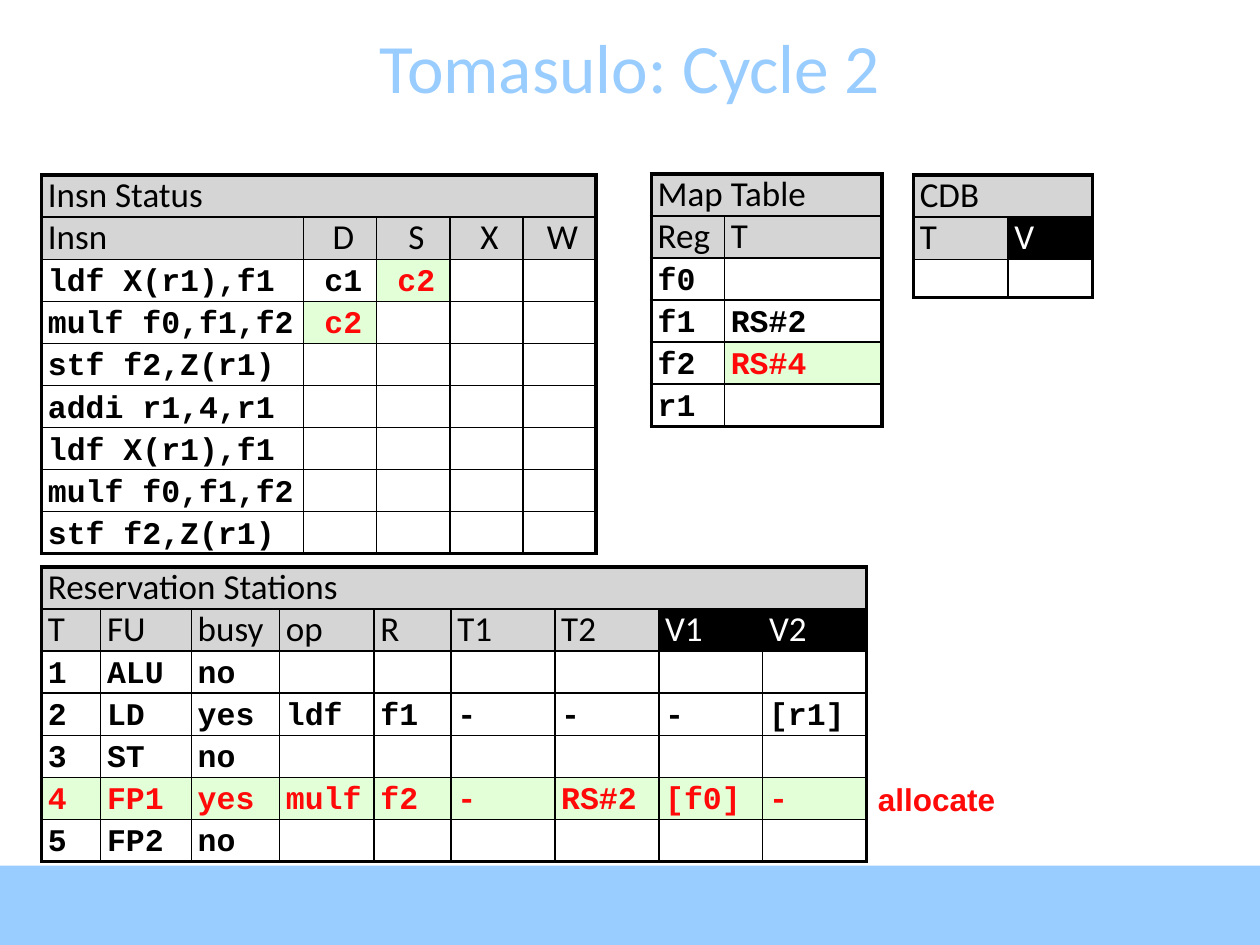
import pptx
import pptx.util
import pptx.dml.color
import pptx.enum.shapes
import pptx.enum.text
import pptx.oxml
import pptx.oxml.ns

Inches, Pt = pptx.util.Inches, pptx.util.Pt
RGBColor = pptx.dml.color.RGBColor
ALIGN = pptx.enum.text.PP_ALIGN
ANCHOR = pptx.enum.text.MSO_ANCHOR

SKY = RGBColor(0x99, 0xCC, 0xFF)
BLACK = RGBColor(0, 0, 0)
WHITE = RGBColor(255, 255, 255)
GRAY = RGBColor(0xD5, 0xD5, 0xD5)
RED = RGBColor(0xFF, 0x09, 0x09)
MINT = RGBColor(0xE2, 0xFF, 0xD8)


def set_font(span, **values):
    color = values.pop("color")
    for name, value in values.items():
        setattr(span.font, name, value)
    span.font.color.rgb = color


def add_border(cell, side, width):
    line = pptx.oxml.parse_xml(
        f'<a:ln{side} {pptx.oxml.ns.nsdecls("a")} w="{Pt(width)}">'
        f'<a:solidFill><a:srgbClr val="{BLACK}"/></a:solidFill></a:ln{side}>')
    cell._tc.get_or_add_tcPr().append(line)


deck = pptx.Presentation()
deck.slide_width, deck.slide_height = Inches(10), Inches(7.5)
page = deck.slides.add_slide(deck.slide_layouts[5])

# Bottom bar
bar = page.shapes.add_shape(pptx.enum.shapes.MSO_SHAPE.RECTANGLE,
                            Inches(0), Inches(6.87), Inches(10), Inches(0.63))
bar.shadow.inherit = False
bar.fill.solid()
bar.fill.fore_color.rgb = SKY
bar.line.fill.background()

# Title
title = page.shapes.title
title.left, title.top, title.width, title.height = (
    Inches(0), Inches(0.21), Inches(10), Inches(0.63))
title.text_frame.text = "Tomasulo: Cycle 2"
title.text_frame.vertical_anchor = ANCHOR.MIDDLE
para = title.text_frame.paragraphs[0]
para.alignment = ALIGN.CENTER
set_font(para.runs[0], name="Calibri", size=Pt(39.6), color=SKY)

# Tables: "fresh" cells changed in this cycle, "dark" header cells hold values
TABLES = [
    {"at": (0.33, 1.39), "columns": [2.08] + [0.58] * 4, "centered": range(1, 5),
     "fresh": [(2, 2), (3, 1)], "dark": [],
     "rows": [["Insn Status"],
              ["Insn", "D", "S", "X", "W"],
              ["ldf X(r1),f1", "c1", "c2"],
              ["mulf f0,f1,f2", "c2"],
              ["stf f2,Z(r1)"],
              ["addi r1,4,r1"],
              ["ldf X(r1),f1"],
              ["mulf f0,f1,f2"],
              ["stf f2,Z(r1)"]]},
    {"at": (5.17, 1.38), "columns": [0.58, 1.25], "centered": [],
     "fresh": [(4, 1)], "dark": [],
     "rows": [["Map Table"], ["Reg", "T"], ["f0"], ["f1", "RS#2"],
              ["f2", "RS#4"], ["r1"]]},
    {"at": (0.33, 4.5), "columns": [0.47, 0.72, 0.7, 0.75, 0.61] + [0.825] * 4,
     "centered": [], "fresh": [(5, c) for c in range(9)], "dark": [7, 8],
     "rows": [["Reservation Stations"],
              ["T", "FU", "busy", "op", "R", "T1", "T2", "V1", "V2"],
              ["1", "ALU", "no"],
              ["2", "LD", "yes", "ldf", "f1", "-", "-", "-", "[r1]"],
              ["3", "ST", "no"],
              ["4", "FP1", "yes", "mulf", "f2", "-", "RS#2", "[f0]", "-"],
              ["5", "FP2", "no"]]},
    {"at": (7.25, 1.39), "columns": [0.75, 0.67], "centered": [],
     "fresh": [], "dark": [1],
     "rows": [["CDB"], ["T", "V"], []]},
]
CELL = {"margin_left": Inches(0.05), "margin_right": 0,
        "margin_top": 0, "margin_bottom": 0}

for plan in TABLES:
    rows, columns = plan["rows"], plan["columns"]
    last_row, last_column = len(rows) - 1, len(columns) - 1
    left, top = plan["at"]
    grid = page.shapes.add_table(
        len(rows), len(columns), Inches(left), Inches(top),
        Inches(sum(columns)), Inches(0.27 * len(rows))).table
    grid.first_row = grid.horz_banding = False
    for column, width in zip(grid.columns, columns):
        column.width = Inches(width)
    for r, texts in enumerate(rows):
        grid.rows[r].height = Inches(0.33 if texts else 0.27)
        for c in range(len(columns)):
            cell = grid.cell(r, c)
            for name, value in CELL.items():
                setattr(cell, name, value)

            # Thick outline, thin inner lines
            edges = {"L": c == 0 or r == 0, "R": c == last_column or r == 0,
                     "T": r == 0, "B": r == last_row}
            for side, outer in edges.items():
                add_border(cell, side, 2.25 if outer else 1)

            # Fill and font by role
            header = r < 2
            fresh = (r, c) in plan["fresh"]
            dark = r == 1 and c in plan["dark"]
            if header or fresh:
                cell.fill.solid()
                cell.fill.fore_color.rgb = BLACK if dark else GRAY if header else MINT
            else:
                cell.fill.background()
            para = cell.text_frame.paragraphs[0]
            if c >= len(texts):
                para.line_spacing = Pt(18)
                continue
            para.line_spacing, para.space_before = Pt(24), Pt(15)
            if c in plan["centered"]:
                para.alignment = ALIGN.CENTER
            span = para.add_run()
            span.text = texts[c]
            set_font(span, name="Calibri" if header else "Courier New",
                     size=Pt(20 if header else 18), bold=not header,
                     color=WHITE if dark else RED if fresh else BLACK)
    grid.cell(0, 0).merge(grid.cell(0, last_column))

# Note beside the new reservation station
note = page.shapes.add_textbox(Inches(6.87), Inches(6.14), Inches(1.13), Inches(0.4))
note.text_frame.word_wrap = False
span = note.text_frame.paragraphs[0].add_run()
span.text = "allocate"
set_font(span, name="Arial", size=Pt(18), bold=True, color=RED)

deck.save("out.pptx")
